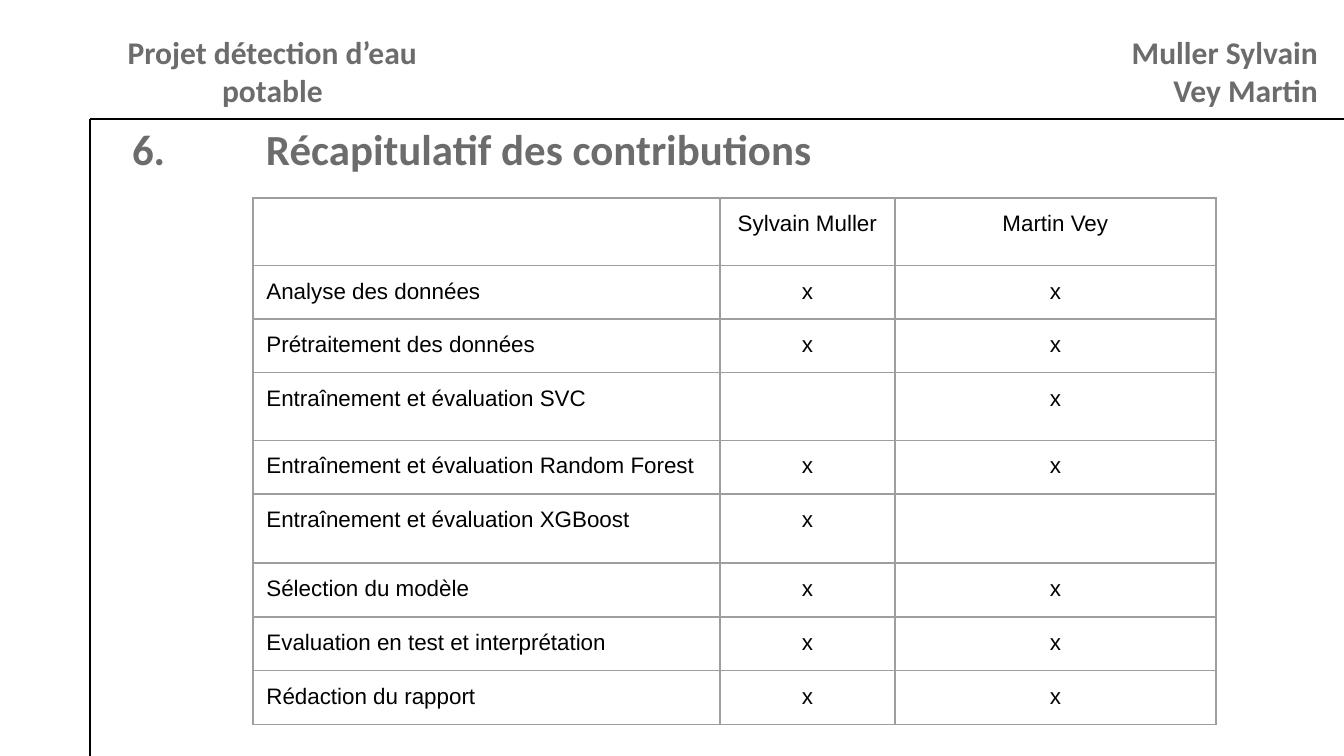
from lxml import etree
from pptx import Presentation
from pptx.dml.color import RGBColor
from pptx.enum.shapes import MSO_CONNECTOR
from pptx.enum.text import MSO_ANCHOR, PP_ALIGN
from pptx.oxml.ns import qn
from pptx.util import Emu, Pt

LEFT, CENTER, RIGHT = PP_ALIGN.LEFT, PP_ALIGN.CENTER, PP_ALIGN.RIGHT
TOP = MSO_ANCHOR.TOP
STRAIGHT = MSO_CONNECTOR.STRAIGHT

COLORS = {"heading": "6C6C6C", "frame": "000000", "text": "000000", "grid": "9E9E9E"}
SLIDE_W, SLIDE_H = 1344, 756
FRAME_X, FRAME_Y = 90, 119
TAB = 134

# lines, (left, top, width, height), size, alignment, line spacing
HEADINGS = [
    (["6.\tRécapitulatif des contributions"], (132, 133, 1187, 121), 23, LEFT, 0.8),
    (["Projet détection d’eau potable"], (118, 33, 309, 114), 16.9, CENTER, 1.0),
    (["Muller Sylvain", "Vey Martin"], (1009, 33, 309, 114), 16.9, RIGHT, 1.0),
]

TABLE_AT = (253, 198)
COLUMN_WIDTHS = [467, 175, 321]
# row height, cells
ROWS = [
    (64, ("", "Sylvain Muller", "Martin Vey")),
    (52, ("Analyse des données", "x", "x")),
    (52, ("Prétraitement des données", "x", "x")),
    (65, ("Entraînement et évaluation SVC", "", "x")),
    (54, ("Entraînement et évaluation Random Forest", "x", "x")),
    (69, ("Entraînement et évaluation XGBoost", "x", "")),
    (52, ("Sélection du modèle", "x", "x")),
    (52, ("Evaluation en test et interprétation", "x", "x")),
    (52, ("Rédaction du rapport", "x", "x")),
]


def px(n):
    """Turn pixels into EMU."""
    return Emu(round(n * 914400 / 134.4))


def set_font(p, name, size, color, bold=False):
    """Set the font of a paragraph."""
    font = p.font
    font.name, font.size, font.bold = name, Pt(size), bold
    font.color.rgb = RGBColor.from_string(COLORS[color])


def add_frame_line(s, x1, y1, x2, y2):
    """Draw one line of the page frame."""
    line = s.shapes.add_connector(STRAIGHT, px(x1), px(y1), px(x2), px(y2))
    line.line.color.rgb = RGBColor.from_string(COLORS["frame"])
    line.line.width = Pt(1)
    etree.SubElement(line._element.spPr, qn("a:effectLst"))


def add_heading(s, lines, box, size, align, spacing):
    """Add a bold grey text box, one paragraph per line."""
    tf = s.shapes.add_textbox(*map(px, box)).text_frame
    tf.word_wrap, tf.vertical_anchor = True, TOP
    tf.margin_left = tf.margin_top = tf.margin_right = tf.margin_bottom = 0
    for i, text in enumerate(lines):
        p = tf.add_paragraph() if i else tf.paragraphs[0]
        p.text, p.alignment, p.line_spacing = text, align, spacing
        if "\t" in text:
            tabs = etree.SubElement(p._p.get_or_add_pPr(), qn("a:tabLst"))
            etree.SubElement(tabs, qn("a:tab"), pos=str(px(TAB)), algn="l")
        set_font(p, "Calibri", size, "heading", True)


def set_borders(cell):
    """Give a cell thin grey borders on all sides."""
    tcPr = cell._tc.get_or_add_tcPr()
    for i, side in enumerate(("a:lnL", "a:lnR", "a:lnT", "a:lnB")):
        ln = etree.Element(qn(side), w=str(Pt(0.75)))
        fill = etree.SubElement(ln, qn("a:solidFill"))
        etree.SubElement(fill, qn("a:srgbClr"), val=COLORS["grid"])
        tcPr.insert(i, ln)


def add_contributions(s):
    """Add the table of tasks and contributors."""
    x, y = TABLE_AT
    width, height = sum(COLUMN_WIDTHS), sum(h for h, _ in ROWS)
    table = s.shapes.add_table(len(ROWS), len(COLUMN_WIDTHS),
                               px(x), px(y), px(width), px(height)).table
    table.first_row = table.horz_banding = False
    for column, w in zip(table.columns, COLUMN_WIDTHS):
        column.width = px(w)
    for row, (h, texts) in zip(table.rows, ROWS):
        row.height = px(h)
        for c, (cell, text) in enumerate(zip(row.cells, texts)):
            cell.fill.background()
            set_borders(cell)
            cell.vertical_anchor = TOP
            cell.margin_left = cell.margin_right = px(13.44)
            cell.margin_top = cell.margin_bottom = px(13.44)
            if text:
                p = cell.text_frame.paragraphs[0]
                p.text, p.alignment = text, CENTER if c else LEFT
                set_font(p, "Arial", 12, "text")


prs = Presentation()
prs.slide_width, prs.slide_height = px(SLIDE_W), px(SLIDE_H)
s = prs.slides.add_slide(prs.slide_layouts[6])
add_frame_line(s, FRAME_X, FRAME_Y, FRAME_X, SLIDE_H)
add_frame_line(s, SLIDE_W, FRAME_Y, FRAME_X, FRAME_Y)
for heading in HEADINGS:
    add_heading(s, *heading)
add_contributions(s)
prs.save("out.pptx")
